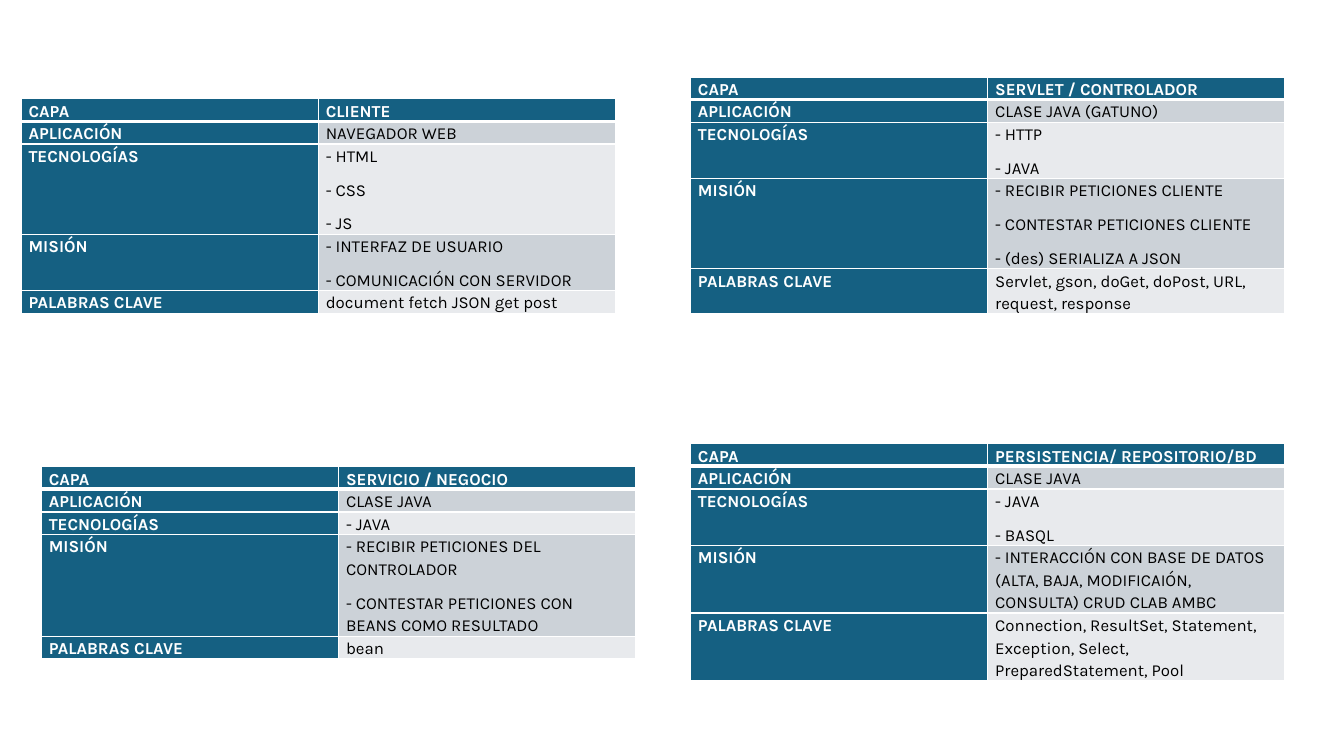
import dataclasses

import lxml.etree
import pptx
import pptx.dml.color
import pptx.oxml.ns
import pptx.slide
import pptx.table
import pptx.util

FONT = "Karla"
BLUE = "156082"
WHITE = "FFFFFF"
BLACK = "000000"
BANDS = ("CCD2D8", "E8EAED")
COLUMN_WIDTH = 7.49
THIN, THICK = 1, 3
LABELS = ("CAPA", "APLICACIÓN", "TECNOLOGÍAS", "MISIÓN", "PALABRAS CLAVE")


@dataclasses.dataclass(frozen=True)
class Layer:
    left: float
    top: float
    height: float
    name: str
    application: str
    technologies: tuple[str, ...]
    mission: tuple[str, ...]
    keywords: str

    def entries(self) -> list[tuple[str, ...]]:
        return [(self.name,), (self.application,), self.technologies,
                self.mission, (self.keywords,)]


LAYERS = (
    Layer(0.53, 2.49, 5.38, "CLIENTE", "NAVEGADOR WEB",
          ("- HTML", "- CSS", "- JS"),
          ("- INTERFAZ DE USUARIO", "- COMUNICACIÓN CON SERVIDOR"),
          "document fetch JSON get post"),
    Layer(17.4, 1.94, 5.97, "SERVLET / CONTROLADOR", "CLASE JAVA (GATUNO)",
          ("- HTTP", "- JAVA"),
          ("- RECIBIR PETICIONES CLIENTE", "- CONTESTAR PETICIONES CLIENTE",
           "- (des) SERIALIZA A JSON"),
          "Servlet, gson, doGet, doPost, URL, request, response"),
    Layer(1.04, 11.76, 4.8, "SERVICIO / NEGOCIO", "CLASE JAVA",
          ("- JAVA",),
          ("- RECIBIR PETICIONES DEL CONTROLADOR",
           "- CONTESTAR PETICIONES CON BEANS COMO RESULTADO"),
          "bean"),
    Layer(17.4, 11.18, 5.97, "PERSISTENCIA/ REPOSITORIO/BD", "CLASE JAVA",
          ("- JAVA", "- BASQL"),
          ("- INTERACCIÓN CON BASE DE DATOS (ALTA, BAJA, MODIFICAIÓN, "
           "CONSULTA) CRUD CLAB AMBC",),
          "Connection, ResultSet, Statement, Exception, Select, "
          "PreparedStatement, Pool"),
)


def rgb(value: str) -> pptx.dml.color.RGBColor:
    return pptx.dml.color.RGBColor.from_string(value)


def add_borders(cell: pptx.table._Cell, top: int, bottom: int) -> None:
    qn = pptx.oxml.ns.qn
    properties = cell._tc.get_or_add_tcPr()
    widths = {"a:lnL": THIN, "a:lnR": THIN, "a:lnT": top, "a:lnB": bottom}
    for position, (side, width) in enumerate(widths.items()):
        line = lxml.etree.Element(qn(side), w=str(pptx.util.Pt(width)))
        fill = lxml.etree.SubElement(line, qn("a:solidFill"))
        lxml.etree.SubElement(fill, qn("a:srgbClr"), val=WHITE)
        properties.insert(position, line)


def fill_cell(cell: pptx.table._Cell, entries: tuple[str, ...], fill: str,
              color: str, bold: bool) -> None:
    cell.margin_left = cell.margin_right = pptx.util.Cm(0.19)
    cell.margin_top = cell.margin_bottom = 0
    cell.fill.solid()
    cell.fill.fore_color.rgb = rgb(fill)
    frame = cell.text_frame
    for index, entry in enumerate(entries):
        paragraph = frame.add_paragraph() if index else frame.paragraphs[0]
        paragraph.line_spacing = 1.15
        paragraph.space_after = pptx.util.Pt(8)
        run = paragraph.add_run()
        run.text = entry
        run.font.name = FONT
        run.font.size = pptx.util.Pt(12)
        run.font.bold = bold
        run.font.color.rgb = rgb(color)


def add_layer(slide: pptx.slide.Slide, layer: Layer) -> None:
    frame = slide.shapes.add_table(
        len(LABELS), 2, pptx.util.Cm(layer.left), pptx.util.Cm(layer.top),
        pptx.util.Cm(2 * COLUMN_WIDTH), pptx.util.Cm(layer.height))
    table = frame.table
    table.first_col = True
    for index, (label, entries) in enumerate(zip(LABELS, layer.entries())):
        table.rows[index].height = 0
        header = index == 0
        label_cell, entry_cell = table.cell(index, 0), table.cell(index, 1)
        fill_cell(label_cell, (label,), BLUE, WHITE, True)
        fill_cell(entry_cell, entries, BLUE if header else BANDS[(index - 1) % 2],
                  WHITE if header else BLACK, header)
        for cell in (label_cell, entry_cell):
            add_borders(cell, THICK if index == 1 else THIN,
                        THICK if header else THIN)
    frame.height = pptx.util.Cm(layer.height)


def main() -> None:
    presentation = pptx.Presentation()
    presentation.slide_width = pptx.util.Cm(33.87)
    presentation.slide_height = pptx.util.Cm(19.05)
    slide = presentation.slides.add_slide(presentation.slide_layouts[6])
    for layer in LAYERS:
        add_layer(slide, layer)
    presentation.save("out.pptx")


if __name__ == "__main__":
    main()
